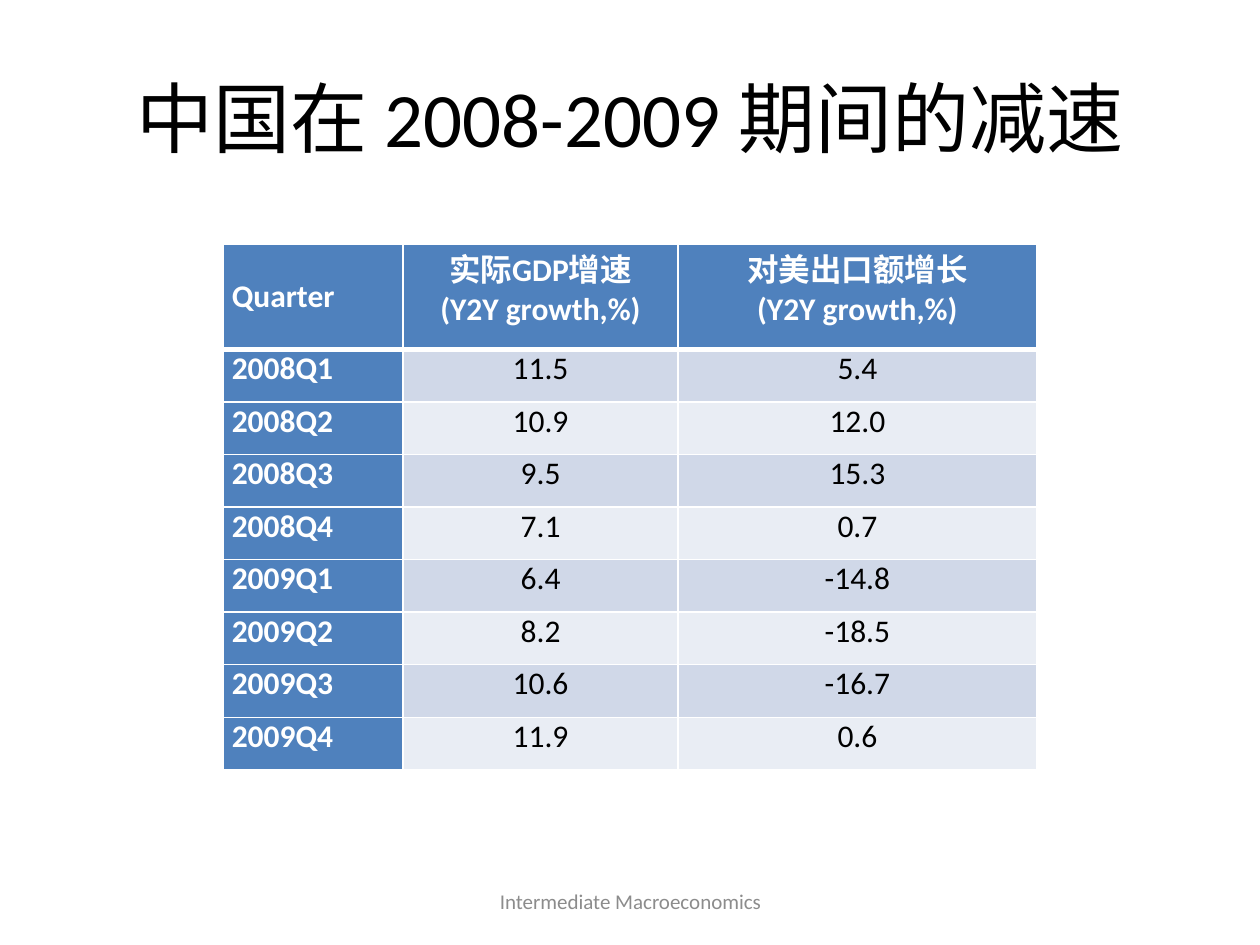
"""Build a slide with a table of quarterly growth in GDP and exports."""
from dataclasses import dataclass
from typing import NamedTuple

from lxml import etree
from pptx import Presentation
from pptx import util as u
from pptx.dml.color import RGBColor
from pptx.enum import text
from pptx.oxml import ns

WIDE, HIGH = u.Inches(10), u.Inches(7.5)
MID, LEFT = text.PP_ALIGN.CENTER, text.PP_ALIGN.JUSTIFY


@dataclass(frozen=True)
class Theme:
    font: str = "Calibri"
    ink: str = "000000"
    paper: str = "FFFFFF"
    head: str = "4F81BD"
    bands: tuple = ("D0D8E8", "E9EDF4")
    muted: str = "8C8C8C"
    large: int = 44
    body: int = 18
    small: int = 12
    thin: int = 1
    thick: int = 3


class Box(NamedTuple):
    """Left, top, width and height in percent of the slide."""
    x: float
    y: float
    w: float
    h: float


class Label(NamedTuple):
    words: str
    box: Box
    size: int
    tone: str


class Row(NamedTuple):
    quarter: str
    growth: str
    trade: str


THEME = Theme()
LABELS = [
    Label("中国在 2008-2009 期间的减速", Box(5, 4, 90, 16.67), THEME.large, THEME.ink),
    Label("Intermediate Macroeconomics", Box(34.2, 92.67, 31.7, 5.33), THEME.small, THEME.muted),
]
GRID = Box(17.7, 25.87, 64.6, 55.6)
COLS = (14.3, 21.8, 28.5)
HEAD_SPAN = 2
ROWS = [
    Row("Quarter", "实际GDP增速\n(Y2Y growth,%)", "对美出口额增长\n(Y2Y growth,%)"),
    Row("2008Q1", "11.5", "5.4"),
    Row("2008Q2", "10.9", "12.0"),
    Row("2008Q3", "9.5", "15.3"),
    Row("2008Q4", "7.1", "0.7"),
    Row("2009Q1", "6.4", "-14.8"),
    Row("2009Q2", "8.2", "-18.5"),
    Row("2009Q3", "10.6", "-16.7"),
    Row("2009Q4", "11.9", "0.6"),
]


def across(share: float) -> int:
    return round(WIDE * share / 100)


def down(share: float) -> int:
    return round(HIGH * share / 100)


def place(box: Box) -> tuple:
    return across(box.x), down(box.y), across(box.w), down(box.h)


def write(frame, words: str, *, size: int, tone: str, bold: bool = False, align=MID) -> None:
    frame.word_wrap = True
    frame.text = words
    for para in frame.paragraphs:
        para.alignment = align
        for run in para.runs:
            run.font.name = THEME.font
            run.font.size = u.Pt(size)
            run.font.bold = bold
            run.font.color.rgb = RGBColor.from_string(tone)


def edge(cell, side: str, width: int) -> None:
    props = cell._tc.get_or_add_tcPr()
    line = etree.SubElement(props, ns.qn(f"a:ln{side}"), w=str(u.Pt(width)))
    fill = etree.SubElement(line, ns.qn("a:solidFill"))
    etree.SubElement(fill, ns.qn("a:srgbClr"), val=THEME.paper)


def style(cell, row: int, col: int) -> None:
    cell.margin_left = cell.margin_right = u.Inches(0.07)
    cell.margin_top = cell.margin_bottom = 0
    first = row == 0
    cell.vertical_anchor = (text.MSO_ANCHOR.MIDDLE if first and col == 0
                            else text.MSO_ANCHOR.TOP)
    widths = {"L": THEME.thin, "R": THEME.thin,
              "T": THEME.thick if row == 1 else THEME.thin,
              "B": THEME.thick if first else THEME.thin}
    for side, width in widths.items():
        edge(cell, side, width)
    shade = THEME.head if first or col == 0 else THEME.bands[(row - 1) % 2]
    cell.fill.solid()
    cell.fill.fore_color.rgb = RGBColor.from_string(shade)


def draw_label(slide, label: Label) -> None:
    frame = slide.shapes.add_textbox(*place(label.box)).text_frame
    frame.vertical_anchor = text.MSO_ANCHOR.MIDDLE
    write(frame, label.words, size=label.size, tone=label.tone)


def draw_table(slide, rows: list[Row]) -> None:
    table = slide.shapes.add_table(len(rows), len(COLS), *place(GRID)).table
    for col, share in zip(table.columns, COLS):
        col.width = across(share)
    unit = GRID.h / (len(rows) - 1 + HEAD_SPAN)
    for r, row in enumerate(rows):
        table.rows[r].height = down(unit * (HEAD_SPAN if r == 0 else 1))
        for c, words in enumerate(row):
            cell = table.cell(r, c)
            style(cell, r, c)
            key = r == 0 or c == 0
            write(cell.text_frame, words, size=THEME.body, bold=key,
                  tone=THEME.paper if key else THEME.ink,
                  align=LEFT if c == 0 else MID)


def main() -> None:
    deck = Presentation()
    deck.slide_width, deck.slide_height = WIDE, HIGH
    slide = deck.slides.add_slide(deck.slide_layouts[6])
    for label in LABELS:
        draw_label(slide, label)
    draw_table(slide, ROWS)
    deck.save("out.pptx")


if __name__ == "__main__":
    main()
